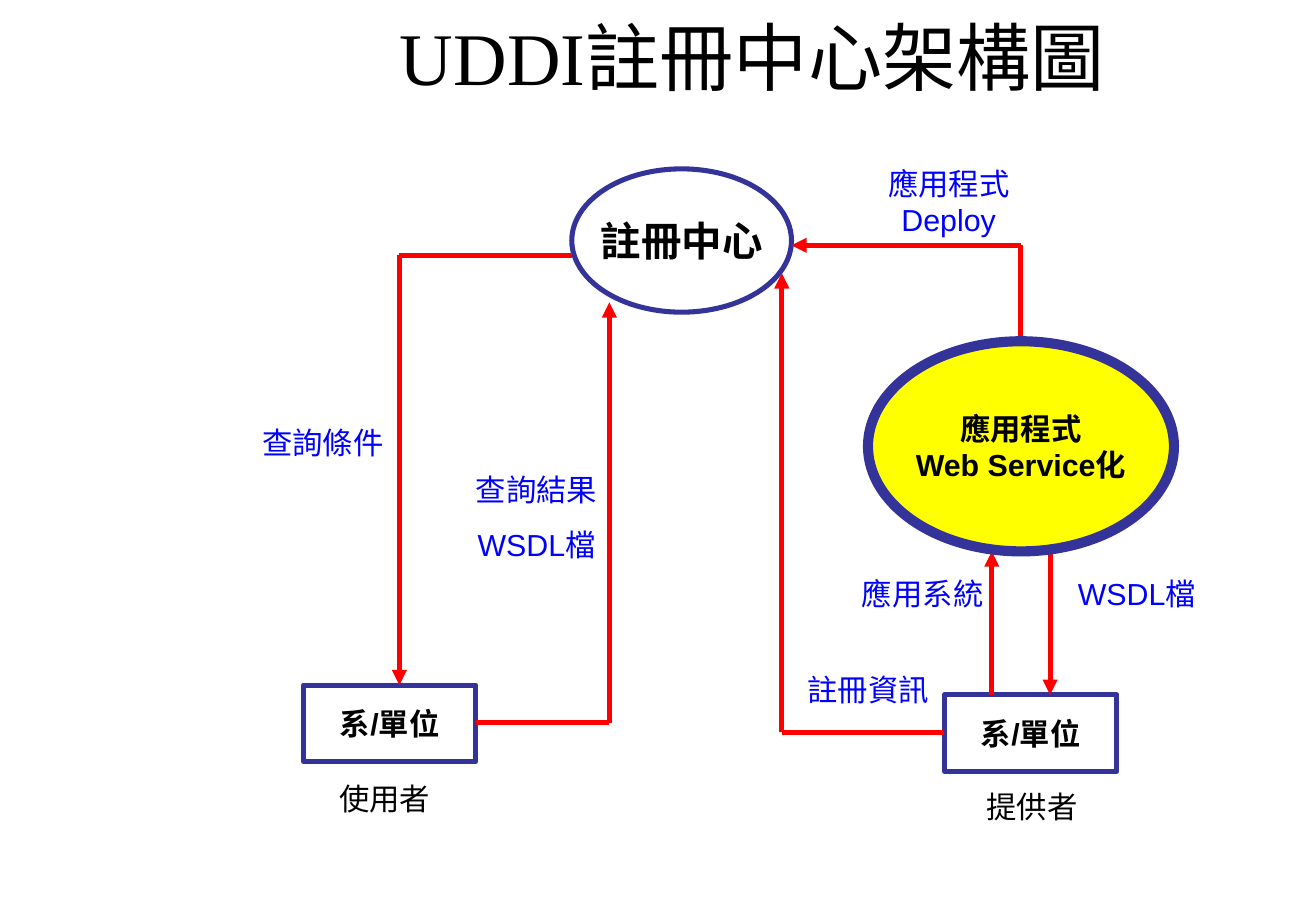
from dataclasses import dataclass

from lxml import etree
from pptx import Presentation
from pptx.dml.color import RGBColor
from pptx.enum.shapes import MSO_CONNECTOR, MSO_SHAPE
from pptx.enum.text import MSO_ANCHOR, MSO_AUTO_SIZE, PP_ALIGN
from pptx.oxml.ns import qn
from pptx.util import Inches, Pt

CENTER = PP_ALIGN.CENTER
MIDDLE = MSO_ANCHOR.MIDDLE
FIXED = MSO_AUTO_SIZE.NONE
ELLIPSE = MSO_SHAPE.OVAL
RECTANGLE = MSO_SHAPE.RECTANGLE
STRAIGHT = MSO_CONNECTOR.STRAIGHT


@dataclass(frozen=True)
class Theme:
    black: RGBColor = RGBColor(0x00, 0x00, 0x00)
    blue: RGBColor = RGBColor(0x00, 0x00, 0xFF)
    indigo: RGBColor = RGBColor(0x33, 0x33, 0x99)
    red: RGBColor = RGBColor(0xFF, 0x00, 0x00)
    yellow: RGBColor = RGBColor(0xFF, 0xFF, 0x00)
    font: str = "Arial"
    title_font: str = "Times New Roman"
    title_size: Pt = Pt(44)
    hub_size: Pt = Pt(24)
    body_size: Pt = Pt(18)
    label_gap: Pt = Pt(11.2)
    line_width: Pt = Pt(3)
    heavy_width: Pt = Pt(6)


theme = Theme()


def write_lines(frame, text, size, color, bold=False, gap=Pt(0)):
    """Fill a text frame with one centred paragraph per line of text."""
    frame.text = text
    for para in frame.paragraphs:
        para.alignment = CENTER
        para.space_before = gap
        para.font.name = theme.font
        para.font.size = size
        para.font.bold = bold
        para.font.color.rgb = color


def add_node(kind, bounds, text, size=theme.body_size, fill=None, width=theme.line_width):
    node = page.shapes.add_shape(kind, *map(Inches, bounds))
    node.shadow.inherit = False
    if fill is None:
        node.fill.background()
    else:
        node.fill.solid()
        node.fill.fore_color.rgb = fill
    node.line.color.rgb = theme.indigo
    node.line.width = width
    node.text_frame.word_wrap = False
    node.text_frame.vertical_anchor = MIDDLE
    write_lines(node.text_frame, text, size, theme.black, bold=True)


deck = Presentation()
deck.slide_width = Inches(10.84)
deck.slide_height = Inches(7.5)
page = deck.slides.add_slide(deck.slide_layouts[5])

# Title
title = page.shapes.title
title.left, title.top = Inches(2.03), Inches(0.08)
title.width, title.height = Inches(8.34), Inches(0.76)
title.text_frame.auto_size = FIXED
title.text_frame.vertical_anchor = MIDDLE
heading = title.text_frame.paragraphs[0]
heading.alignment = CENTER
heading.font.size = theme.title_size
heading.font.color.rgb = theme.black
for words, font in [("UDDI", theme.title_font), ("註冊中心架構圖", theme.font)]:
    span = heading.add_run()
    span.text = words
    span.font.name = font

# Registry and the two units
add_node(ELLIPSE, (4.71, 1.39, 1.81, 1.18), "註冊中心", theme.hub_size)
for left, top in [(2.5, 5.64), (7.78, 5.72)]:
    add_node(RECTANGLE, (left, top, 1.42, 0.63), "系/單位")

# Each route is a chain of corner points, with an arrowhead on its last leg
routes = [
    [(4.71, 2.1), (3.29, 2.1), (3.29, 5.64)],
    [(3.92, 5.95), (5.02, 5.95), (5.02, 2.49)],
    [(7.78, 6.03), (6.44, 6.03), (6.44, 2.25)],
    [(8.17, 5.72), (8.17, 4.54)],
    [(8.65, 4.54), (8.65, 5.72)],
    [(8.41, 2.8), (8.41, 2.02), (6.52, 2.02)],
]
for route in routes:
    for start, end in zip(route, route[1:]):
        leg = page.shapes.add_connector(STRAIGHT, *map(Inches, start + end))
        leg.line.color.rgb = theme.red
        leg.line.width = theme.line_width
        if end == route[-1]:
            etree.SubElement(leg.line._get_or_add_ln(), qn("a:tailEnd"), type="triangle")
        etree.SubElement(leg._element.spPr, qn("a:effectLst"))

# Labels
labels = [
    ("查詢條件", (2.03, 3.44, 1.26, 0.4), theme.blue),
    ("查詢結果\nWSDL檔", (3.71, 3.83, 1.42, 0.86), theme.blue),
    ("註冊資訊", (6.44, 5.48, 1.42, 0.4), theme.blue),
    ("應用系統", (6.89, 4.69, 1.42, 0.4), theme.blue),
    ("WSDL檔", (8.58, 4.69, 1.57, 0.4), theme.blue),
    ("應用程式 Deploy", (6.91, 1.31, 1.81, 0.7), theme.blue),
    ("使用者", (2.5, 6.37, 1.34, 0.4), theme.black),
    ("提供者", (7.83, 6.44, 1.34, 0.4), theme.black),
]
for text, bounds, color in labels:
    box = page.shapes.add_textbox(*map(Inches, bounds))
    box.text_frame.word_wrap = True
    write_lines(box.text_frame, text, theme.body_size, color, gap=theme.label_gap)

# The web service covers the ends of its arrows
add_node(ELLIPSE, (7.15, 2.81, 2.52, 1.73), "應用程式\nWeb Service化",
         fill=theme.yellow, width=theme.heavy_width)

deck.save("out.pptx")
